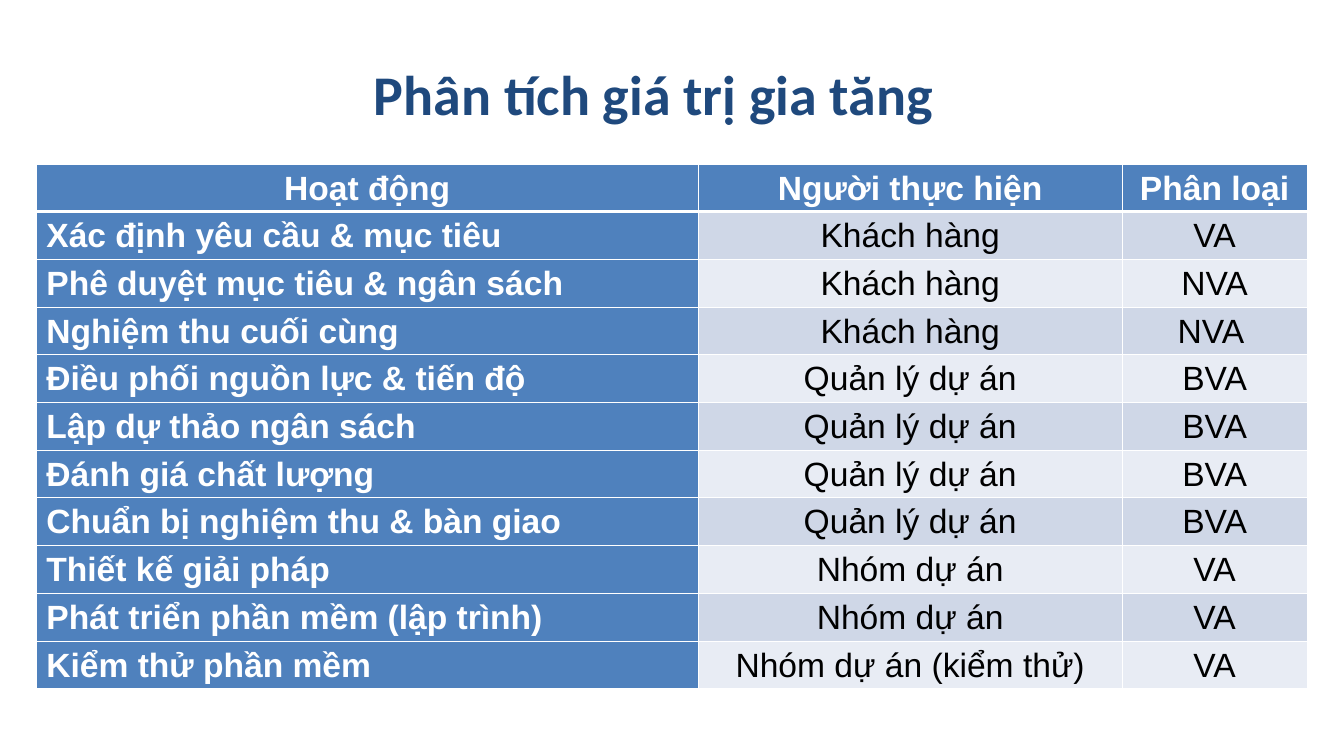
"""Build the value-added analysis slide."""
from lxml import etree
from pptx import Presentation
from pptx.dml.color import RGBColor
from pptx.enum.text import MSO_ANCHOR, PP_ALIGN
from pptx.oxml.ns import qn
from pptx.util import Inches, Pt

LEFT, CENTER = PP_ALIGN.LEFT, PP_ALIGN.CENTER
MIDDLE, TOP = MSO_ANCHOR.MIDDLE, MSO_ANCHOR.TOP
NAVY, BLUE, WHITE, BLACK = "1F497D", "4F81BD", "FFFFFF", "000000"
BANDS = ("CFD7E7", "E8ECF4")
COLUMN_WIDTHS = (9.85, 6.31, 2.75)
ROW_HEIGHT = 0.71
CUSTOMER, MANAGER, TEAM = "Khách hàng", "Quản lý dự án", "Nhóm dự án"
ACTIVITIES = [
    ("Hoạt động", "Người thực hiện", "Phân loại"),
    ("Xác định yêu cầu & mục tiêu", CUSTOMER, "VA"),
    ("Phê duyệt mục tiêu & ngân sách", CUSTOMER, "NVA"),
    ("Nghiệm thu cuối cùng", CUSTOMER, "NVA "),
    ("Điều phối nguồn lực & tiến độ", MANAGER, "BVA"),
    ("Lập dự thảo ngân sách", MANAGER, "BVA"),
    ("Đánh giá chất lượng", MANAGER, "BVA"),
    ("Chuẩn bị nghiệm thu & bàn giao", MANAGER, "BVA"),
    ("Thiết kế giải pháp", TEAM, "VA"),
    ("Phát triển phần mềm (lập trình)", TEAM, "VA"),
    ("Kiểm thử phần mềm", "Nhóm dự án (kiểm thử)", "VA"),
]


def rgb(value):
    return RGBColor.from_string(value)


def write(tf, text, font="Arial", size=36, color=BLACK, bold=False, align=CENTER, spacing=1.15):
    p = tf.paragraphs[0]
    p.alignment = align
    p.line_spacing = spacing
    r = p.add_run()
    r.text = text
    r.font.name = font
    r.font.size = Pt(size)
    r.font.bold = bold
    r.font.color.rgb = rgb(color)


def add_border(cell, side, width, color=WHITE):
    ln = etree.SubElement(cell._tc.get_or_add_tcPr(), qn(f"a:ln{side}"), w=str(Pt(width)))
    fill = etree.SubElement(ln, qn("a:solidFill"))
    etree.SubElement(fill, qn("a:srgbClr"), val=color)


class SlideBuilder:
    def __init__(self, s):
        self.s = s

    def title(self, text, left, top, width, height):
        sp = self.s.shapes.add_textbox(*map(Inches, (left, top, width, height)))
        tf = sp.text_frame
        tf.word_wrap = True
        tf.vertical_anchor = MIDDLE
        write(tf, text, font="Calibri", size=60, color=NAVY, bold=True, spacing=0.9)

    def table(self, rows, left, top):
        size = sum(COLUMN_WIDTHS), ROW_HEIGHT * len(rows)
        frame = self.s.shapes.add_table(
            len(rows), len(COLUMN_WIDTHS), *map(Inches, (left, top, *size)))
        table = frame.table
        table.first_col = True
        for column, width in zip(table.columns, COLUMN_WIDTHS):
            column.width = Inches(width)
        for i, row in enumerate(rows):
            table.rows[i].height = Inches(ROW_HEIGHT)
            for j, text in enumerate(row):
                self.cell(table.cell(i, j), text, i, j)

    def cell(self, cell, text, i, j):
        heading = i == 0 or j == 0
        cell.margin_left = cell.margin_right = Inches(0.15)
        cell.margin_top = cell.margin_bottom = 0
        cell.vertical_anchor = TOP
        widths = {"L": 1, "R": 1, "T": 3 if i == 1 else 1, "B": 3 if i == 0 else 1}
        for side, width in widths.items():
            add_border(cell, side, width)
        cell.fill.solid()
        cell.fill.fore_color.rgb = rgb(BLUE if heading else BANDS[(i - 1) % 2])
        write(cell.text_frame, text, color=WHITE if heading else BLACK, bold=heading,
              align=LEFT if i and j == 0 else CENTER)


def main():
    prs = Presentation()
    prs.slide_width, prs.slide_height = Inches(20), Inches(11.25)
    builder = SlideBuilder(prs.slides.add_slide(prs.slide_layouts[6]))
    builder.title("Phân tích giá trị gia tăng", 1.1, 0.67, 17.25, 1.55)
    builder.table(ACTIVITIES, 0.54, 2.44)
    prs.save("out.pptx")


if __name__ == "__main__":
    main()
